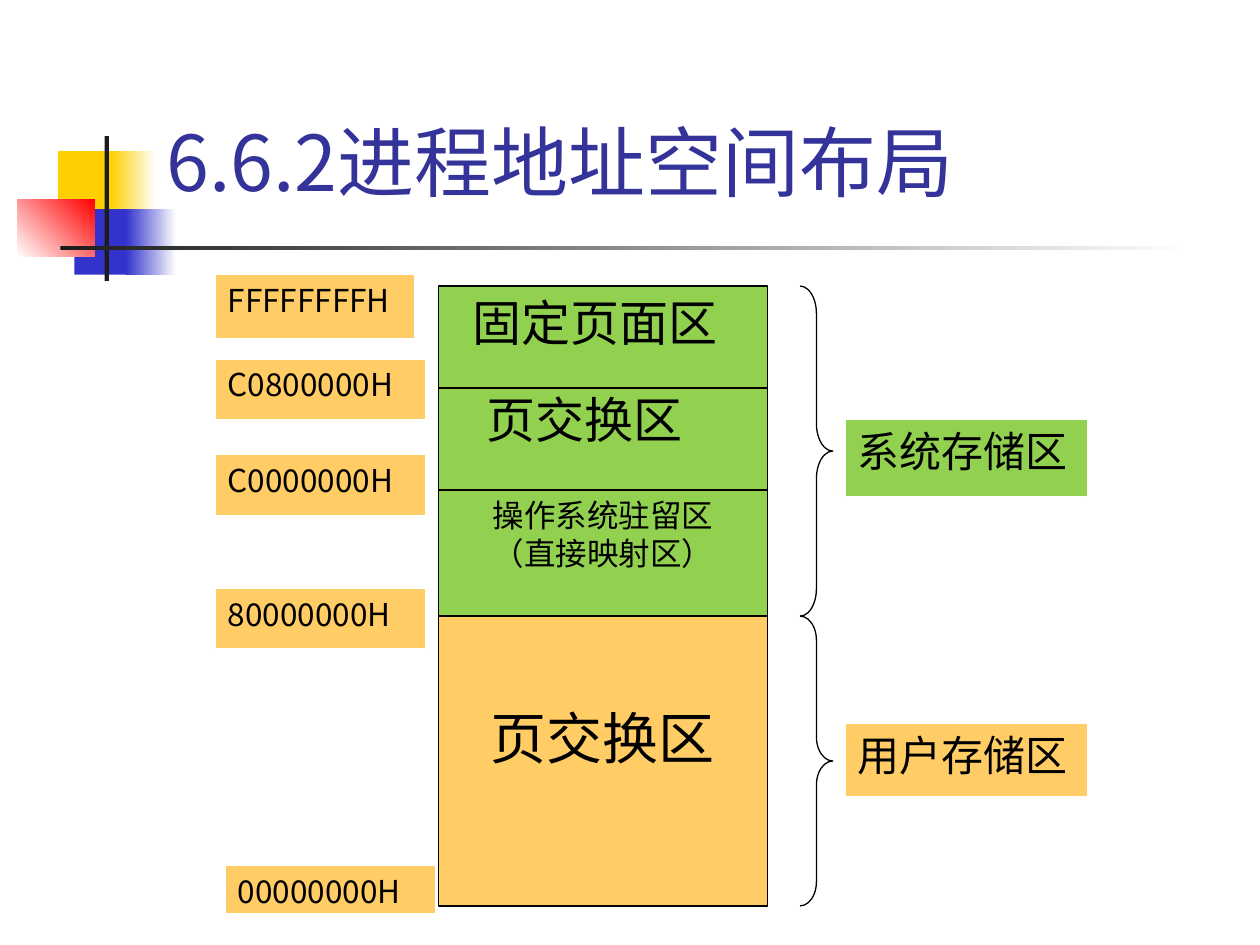
import lxml.etree
import pptx
import pptx.dml.color
import pptx.enum.shapes
import pptx.enum.text
import pptx.oxml.ns
import pptx.util

THEME = {
    "font": "Noto Sans CJK JP",
    "ink": "000000", "paper": "FFFFFF", "title": "333399",
    "system": "92D050", "user": "FFCC66",
    "yellow": "FFCF01", "blue": "3333CC", "red": "FF0000", "rule": "1C1C1C",
    "title_size": 44, "user_size": 32, "region_size": 28,
    "side_size": 24, "small_size": 18,
    "hairline": 0.75,
}
SHAPE = pptx.enum.shapes.MSO_SHAPE
ALIGN = pptx.enum.text.PP_ALIGN
COLOR = pptx.dml.color.RGBColor.from_string

deck = pptx.Presentation()
deck.slide_width = pptx.util.Inches(10)
deck.slide_height = pptx.util.Inches(7.5)
page = deck.slides.add_slide(deck.slide_layouts[6])
CELL = deck.slide_width / 100  # grid of 100 columns by 75 rows


def add_box(frame, fills=(), line=None, kind=SHAPE.RECTANGLE, angle=0):
    """Place a shape on the grid; two fills make a gradient."""
    box = page.shapes.add_shape(kind, *(round(n * CELL) for n in frame))
    box.shadow.inherit = False
    if len(fills) == 2:
        box.fill.gradient()
        box.fill.gradient_angle = angle
        for stop, fill in zip(box.fill.gradient_stops, fills):
            stop.color.rgb = COLOR(THEME[fill])
    elif fills:
        box.fill.solid()
        box.fill.fore_color.rgb = COLOR(THEME[fills[0]])
    else:
        box.fill.background()
    if line:
        box.line.color.rgb = COLOR(THEME[line])
        box.line.width = pptx.util.Pt(THEME["hairline"])
    else:
        box.line.fill.background()
    return box


def write(box, lines, size, color="ink", align=ALIGN.LEFT, left=1, top=0.5,
          anchor=pptx.enum.text.MSO_ANCHOR.TOP):
    """Fill a shape with paragraphs of one style."""
    frame = box.text_frame
    frame.word_wrap = True
    frame.vertical_anchor = anchor
    frame.margin_left, frame.margin_right = round(left * CELL), round(CELL)
    frame.margin_top, frame.margin_bottom = round(top * CELL), round(0.5 * CELL)
    for number, text in enumerate(lines):
        para = frame.add_paragraph() if number else frame.paragraphs[0]
        para.text = text
        para.alignment = align
        para.font.size = pptx.util.Pt(THEME[size])
        para.font.name = THEME["font"]
        para.font.color.rgb = COLOR(THEME[color])
        east_asian = lxml.etree.SubElement(para.font._element, pptx.oxml.ns.qn("a:ea"))
        east_asian.set("typeface", THEME["font"])
    return frame.paragraphs


# Corner ornament and title rule
for frame, fills, angle in [
    ((4.6, 12, 4.8, 5.2), ["yellow"], 0),
    ((8.8, 12, 3.6, 5.2), ["yellow", "paper"], 0),
    ((5.9, 16.6, 4.6, 5.2), ["blue"], 0),
    ((10, 16.6, 4, 5.2), ["blue", "paper"], 0),
    ((1.4, 15.8, 6.1, 4.6), ["paper", "red"], 45),
    ((8.3, 10.8, 0.35, 11.5), ["rule"], 0),
    ((4.8, 19.5, 90, 0.35), ["rule", "paper"], 0),
]:
    add_box(frame, fills, angle=angle)

# Title
title = page.shapes.add_textbox(*(round(n * CELL) for n in (6.7, 4.4, 85, 12.5)))
write(title, ["6.6.2进程地址空间布局"], "title_size", "title", left=6.5,
      anchor=pptx.enum.text.MSO_ANCHOR.BOTTOM)

# Address space column
LEFT, WIDTH = 34.8, 26.1
TOP, SWAP, RESIDENT, USER, BOTTOM = 22.7, 30.8, 38.9, 48.9, 71.9
paged = add_box((LEFT, TOP, WIDTH, 22.3), ["system"], "ink")
fixed_para, swap_para = write(paged, ["固定页面区", "页交换区"], "region_size", left=2.7)
swap_para.space_before = pptx.util.Pt(21.7)
indent = swap_para._p.get_or_add_pPr()
indent.set("marL", str(round(1.1 * CELL)))
indent.set("indent", "0")
resident = add_box((LEFT, RESIDENT, WIDTH, USER - RESIDENT), ["system"], "ink")
write(resident, ["操作系统驻留区", "（直接映射区）"], "small_size", align=ALIGN.CENTER)
user = add_box((LEFT, USER, WIDTH, BOTTOM - USER), ["user"], "ink")
write(user, ["页交换区"], "user_size", align=ALIGN.CENTER, top=6.95)

# Dividers between system regions
for row in (SWAP, RESIDENT):
    ends = (LEFT, row, LEFT + WIDTH, row)
    divider = page.shapes.add_connector(
        pptx.enum.shapes.MSO_CONNECTOR.STRAIGHT, *(round(n * CELL) for n in ends))
    divider.line.color.rgb = COLOR(THEME["ink"])
    divider.line.width = pptx.util.Pt(THEME["hairline"])
    lxml.etree.SubElement(divider._element.spPr, pptx.oxml.ns.qn("a:effectLst"))

# Braces with their storage labels
BRACE_WIDTH = 2.6
for start, end, text, fill, label_top, label_height in [
    (TOP, USER, "系统存储区", "system", 33.3, 6.1),
    (USER, BOTTOM, "用户存储区", "user", 57.4, 5.8),
]:
    brace = add_box((63.5, start, BRACE_WIDTH, end - start), line="ink", kind=SHAPE.RIGHT_BRACE)
    brace.adjustments[0] = (end - start) / 12 / BRACE_WIDTH
    label = add_box((67.1, label_top, 19.2, label_height), [fill], "paper")
    write(label, [text], "side_size")

# Address labels
for text, frame in [
    ("FFFFFFFFH", (17.1, 21.8, 15.8, 5.1)),
    ("C0800000H", (17.1, 28.5, 16.7, 4.8)),
    ("C0000000H", (17.1, 36.1, 16.7, 4.8)),
    ("80000000H", (17.1, 46.7, 16.7, 4.8)),
    ("00000000H", (17.9, 68.7, 16.7, 3.8)),
]:
    write(add_box(frame, ["user"], "paper"), [text], "small_size")

deck.save("out.pptx")
